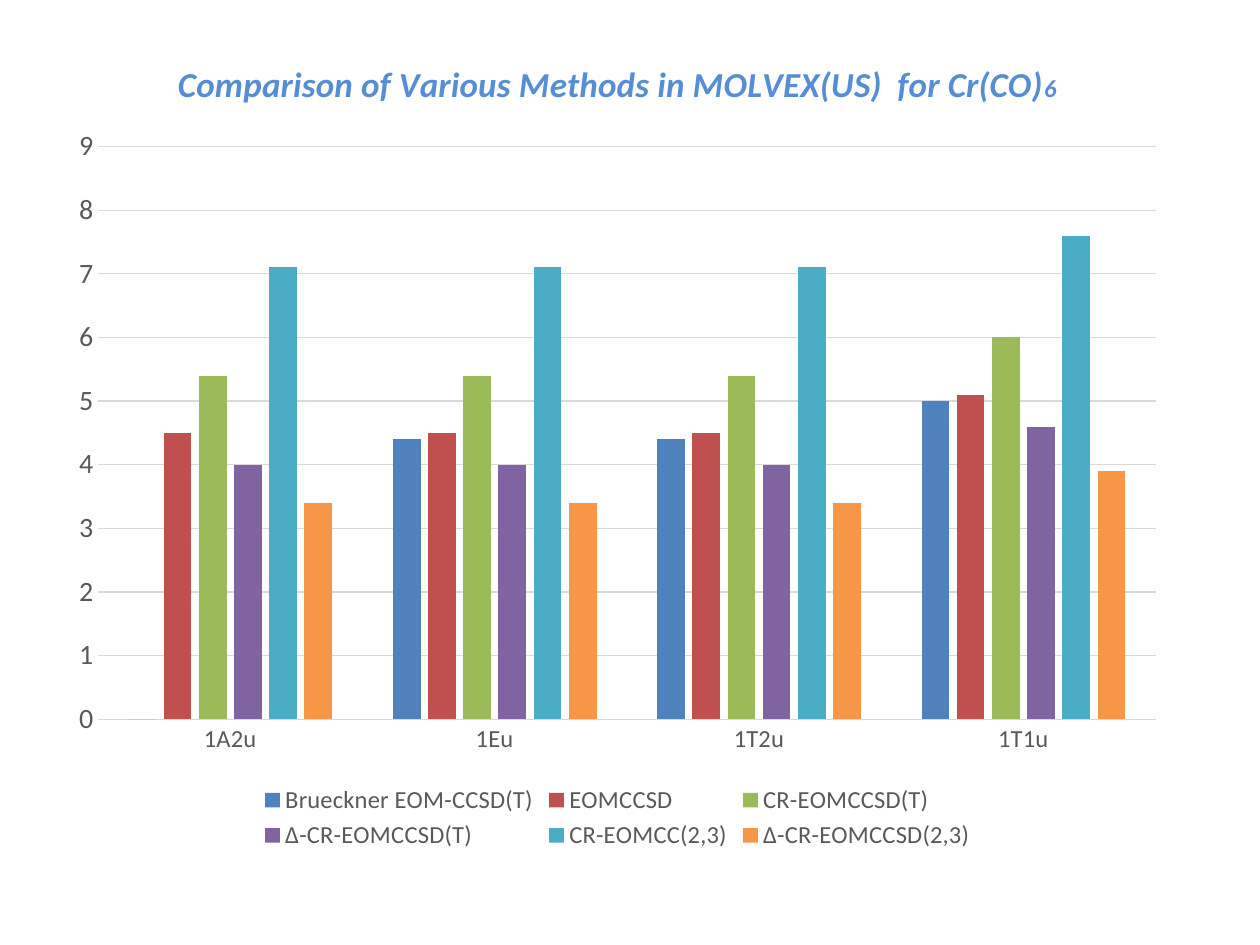
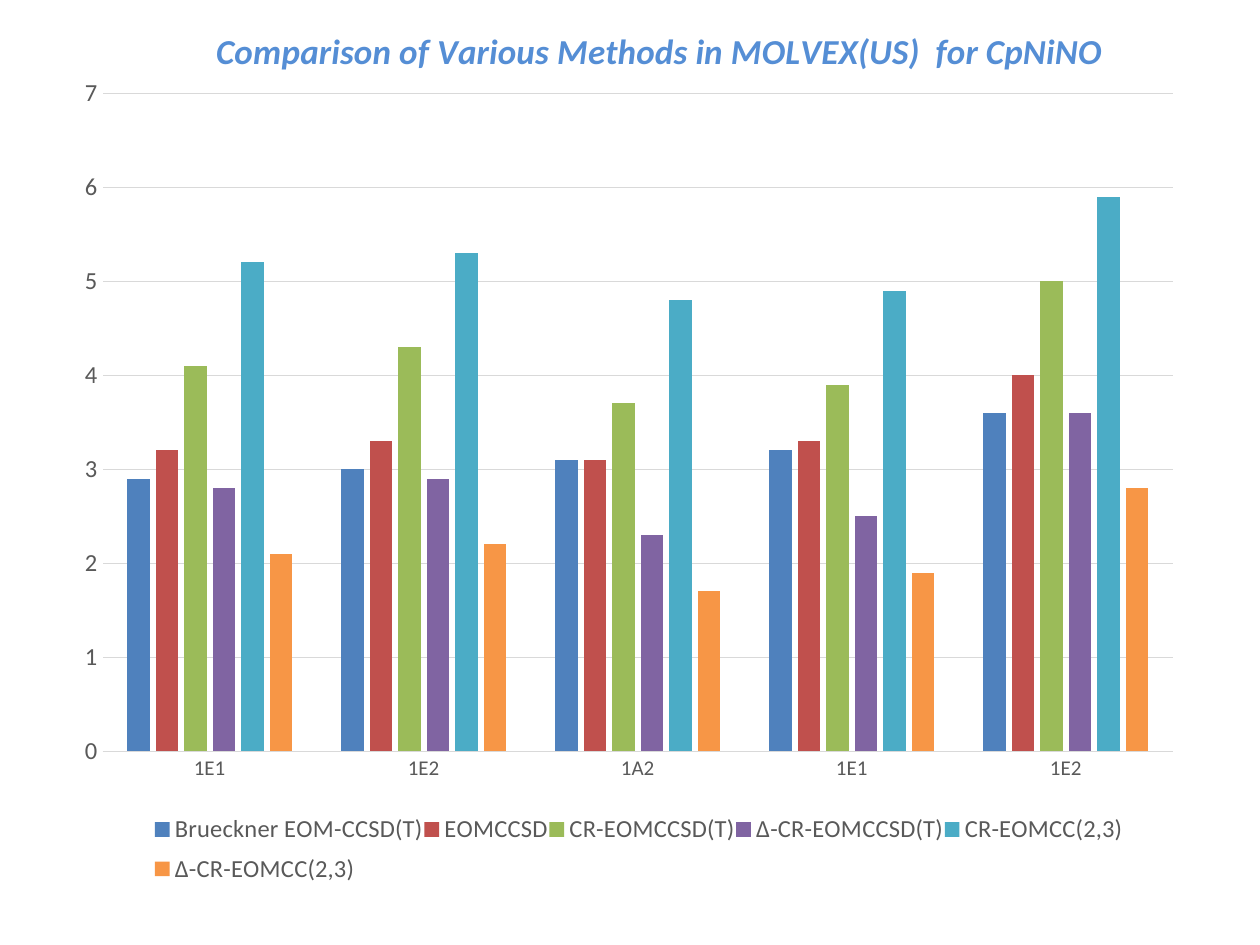
from lxml import etree
from pptx import Presentation, util as u
from pptx.chart.data import CategoryChartData
from pptx.dml.color import RGBColor
from pptx.enum import chart as charts
from pptx.oxml.ns import qn

# Shared style
FONT = "Calibri"
TITLE_COLOR = "558ED5"
TEXT_COLOR = "595959"
LINE_COLOR = "D9D9D9"
SERIES_COLORS = ["4F81BD", "C0504D", "9BBB59", "8064A2", "4BACC6", "F79646"]
TITLE_START = "Comparison of Various Methods in MOLVEX(US)  for "


def color(hex_string):
    return RGBColor.from_string(hex_string)


def style_font(font, size, hex_string):
    font.name = FONT
    font.size = u.Pt(size)
    font.color.rgb = color(hex_string)


def style_line(line):
    line.color.rgb = color(LINE_COLOR)
    line.width = u.Pt(0.75)


def place_part(chart, tag, **fractions):
    """Fix a chart part at fractions of the chart's size."""
    part = chart.element.find(".//" + qn(tag))
    for old_layout in part.findall(qn("c:layout")):
        part.remove(old_layout)
    layout = etree.Element(qn("c:layout"))
    manual = etree.SubElement(layout, qn("c:manualLayout"))
    settings = {"xMode": "edge", "yMode": "edge", **fractions}
    if tag == "c:plotArea":
        settings = {"layoutTarget": "inner", **settings}
    for name, value in settings.items():
        etree.SubElement(manual, qn("c:" + name)).set("val", str(value))
    overlay = part.find(qn("c:overlay"))
    if overlay is None:
        part.insert(0, layout)
    else:
        overlay.addprevious(layout)


class Deck:
    def __init__(self):
        self.presentation = Presentation()
        self.presentation.slide_width = u.Inches(10)
        self.presentation.slide_height = u.Inches(7.5)
        self.slide = None

    def add_slide(self):
        self.slide = self.presentation.slides.add_slide(
            self.presentation.slide_layouts[6])

    def add_columns(self, box, categories, series):
        data = CategoryChartData()
        data.categories = categories
        for name, values in series.items():
            data.add_series(name, values)
        chart = self.slide.shapes.add_chart(
            charts.XL_CHART_TYPE.COLUMN_CLUSTERED,
            *(u.Inches(length) for length in box), data).chart
        style_font(chart.font, 10, "000000")
        plot = chart.plots[0]
        plot.gap_width = 219
        plot.overlap = -27
        plot.vary_by_categories = False
        for column, hex_string in zip(plot.series, SERIES_COLORS):
            column.format.fill.solid()
            column.format.fill.fore_color.rgb = color(hex_string)
        return chart

    def add_title(self, chart, molecule, small_digit=""):
        paragraph = chart.chart_title.text_frame.paragraphs[0]
        for words, size in ((TITLE_START + molecule, 20), (small_digit, 14)):
            if words:
                run = paragraph.add_run()
                run.text = words
                style_font(run.font, size, TITLE_COLOR)
                run.font.bold = True
                run.font.italic = True

    def style_axes(self, chart, category_size, value_size, maximum):
        for axis, size in ((chart.category_axis, category_size),
                           (chart.value_axis, value_size)):
            axis.major_tick_mark = charts.XL_TICK_MARK.NONE
            axis.minor_tick_mark = charts.XL_TICK_MARK.NONE
            style_font(axis.tick_labels.font, size, TEXT_COLOR)
        style_line(chart.category_axis.format.line)
        values = chart.value_axis
        values.format.line.fill.background()
        values.minimum_scale = 0
        values.maximum_scale = maximum
        values.major_unit = 1
        values.has_major_gridlines = True
        style_line(values.major_gridlines.format.line)

    def add_legend(self, chart):
        chart.has_legend = True
        chart.legend.position = charts.XL_LEGEND_POSITION.BOTTOM
        chart.legend.include_in_layout = False
        style_font(chart.legend.font, 14, TEXT_COLOR)


deck = Deck()

# Slide 1: chromium hexacarbonyl
deck.add_slide()
chromium = deck.add_columns(
    (0.45, 0.27, 8.9, 6.52), ["1A2u", "1Eu", "1T2u", "1T1u"], {
        "Brueckner EOM-CCSD(T)": (0, 4.4, 4.4, 5),
        "EOMCCSD": (4.5, 4.5, 4.5, 5.1),
        "CR-EOMCCSD(T)": (5.4, 5.4, 5.4, 6),
        "Δ-CR-EOMCCSD(T)": (4, 4, 4, 4.6),
        "CR-EOMCC(2,3)": (7.1, 7.1, 7.1, 7.6),
        "Δ-CR-EOMCCSD(2,3)": (3.4, 3.4, 3.4, 3.9),
    })
deck.add_title(chromium, "Cr(CO)", "6")
deck.style_axes(chromium, category_size=14, value_size=16, maximum=9)
deck.add_legend(chromium)

# Slide 2: nickel nitrosyl
deck.add_slide()
nickel = deck.add_columns(
    (0.59, 0.16, 8.96, 7), ["1E1", "1E2", "1A2", "1E1", "1E2"], {
        "Brueckner EOM-CCSD(T)": (2.9, 3, 3.1, 3.2, 3.6),
        "EOMCCSD": (3.2, 3.3, 3.1, 3.3, 4),
        "CR-EOMCCSD(T)": (4.1, 4.3, 3.7, 3.9, 5),
        "Δ-CR-EOMCCSD(T)": (2.8, 2.9, 2.3, 2.5, 3.6),
        "CR-EOMCC(2,3)": (5.2, 5.3, 4.8, 4.9, 5.9),
        "Δ-CR-EOMCC(2,3)": (2.1, 2.2, 1.7, 1.9, 2.8),
    })
deck.add_title(nickel, "CpNiNO")
deck.style_axes(nickel, category_size=12, value_size=14, maximum=7)
deck.add_legend(nickel)
place_part(nickel, "c:title", x=0.12, y=0)
place_part(nickel, "c:plotArea", x=0.025, y=0.083, w=0.948, h=0.746)
place_part(nickel, "c:legend", x=0.07, y=0.89, w=0.86, h=0.1)

deck.presentation.save("out.pptx")
